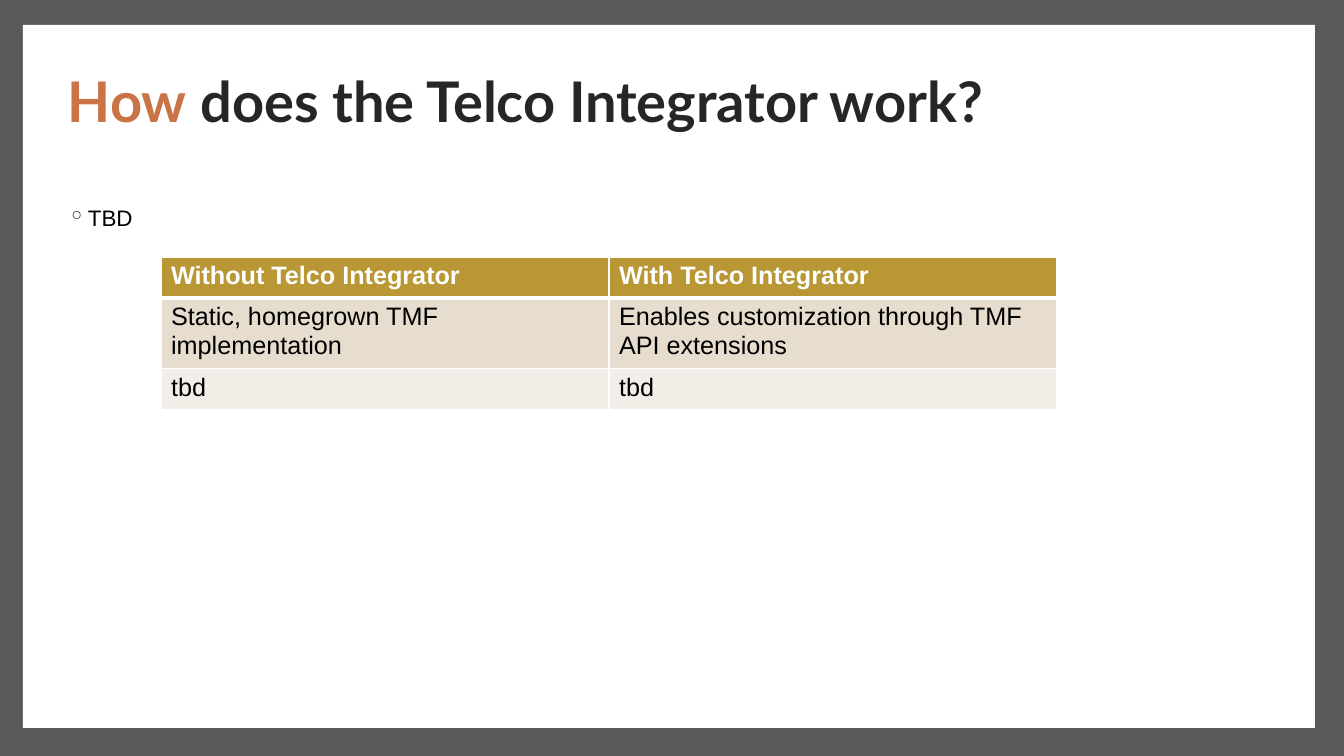
from lxml.etree import SubElement
from pptx import Presentation
from pptx.dml.color import RGBColor
from pptx.enum.shapes import MSO_SHAPE
from pptx.enum.text import MSO_ANCHOR
from pptx.oxml.ns import qn
from pptx.util import Pt

WHITE, BLACK, GREY, INK = "FFFFFF", "000000", "595959", "262626"
ORANGE, GOLD, SAND, CREAM = "CA7346", "B89734", "E6DDCE", "F3EFE8"
ROWS = [
    ("Without Telco Integrator", "With Telco Integrator"),
    ("Static, homegrown TMF implementation",
     "Enables customization through TMF API extensions"),
    ("tbd", "tbd"),
]
ROW_FILLS = [GOLD, SAND, CREAM]
ROW_HEIGHTS = [41, 66, 41]


def px(n):
    """Turn pixels into EMU."""
    return round(n * 914400 / 100.8)


def rgb(color):
    """Turn a hex string into a colour."""
    return RGBColor.from_string(color)


def set_font(font, name, size, color, bold=False):
    """Set the typeface, size, colour and weight of a font."""
    font.name, font.size, font.bold = name, Pt(size), bold
    font.color.rgb = rgb(color)


def add_panel(s, x, y, w, h, color):
    """Add a plain filled rectangle."""
    sp = s.shapes.add_shape(MSO_SHAPE.RECTANGLE, px(x), px(y), px(w), px(h))
    sp.shadow.inherit = False
    sp.fill.solid()
    sp.fill.fore_color.rgb = rgb(color)
    sp.line.fill.background()


def add_text(s, x, y, w, h, spacing, anchor=MSO_ANCHOR.TOP):
    """Add a wrapping text box and return its first paragraph."""
    tf = s.shapes.add_textbox(px(x), px(y), px(w), px(h)).text_frame
    tf.word_wrap = True
    tf.vertical_anchor = anchor
    p = tf.paragraphs[0]
    p.line_spacing = spacing
    return p


def add_title(s, parts):
    """Add the title from pairs of text and colour."""
    p = add_text(s, 58, 49, 1226, 110, 0.9, MSO_ANCHOR.MIDDLE)
    set_font(p.font, "Lato", 40, INK, True)
    for text, color in parts:
        r = p.add_run()
        r.text = text
        r.font.color.rgb = rgb(color)


def add_bullet(s, text):
    """Add a single bulleted line."""
    p = add_text(s, 58, 197, 550, 60, 1.1)
    p.text = text
    p.space_before = Pt(9)
    set_font(p.font, "Arial", 16, BLACK)
    pPr = p._p.get_or_add_pPr()
    pPr.set("marL", str(px(20)))
    pPr.set("indent", str(-px(20)))
    bullet_color = pPr.makeelement(qn("a:buClr"), {})
    SubElement(bullet_color, qn("a:srgbClr"), val=INK)
    bullet = pPr.makeelement(qn("a:buChar"), {"char": "◦"})
    pPr.find(qn("a:defRPr")).addprevious(bullet_color)
    bullet_color.addnext(bullet)


def set_borders(cell, widths):
    """Draw white cell borders with widths in points by side."""
    tcPr = cell._tc.get_or_add_tcPr()
    for i, (side, width) in enumerate(widths.items()):
        ln = tcPr.makeelement(qn(f"a:ln{side}"), {"w": str(Pt(width))})
        fill = SubElement(ln, qn("a:solidFill"))
        SubElement(fill, qn("a:srgbClr"), val=WHITE)
        tcPr.insert(i, ln)


def add_comparison(s):
    """Add the comparison table."""
    table = s.shapes.add_table(len(ROWS), 2, px(161), px(257), px(896),
                               px(sum(ROW_HEIGHTS))).table
    for i, texts in enumerate(ROWS):
        header = i == 0
        table.rows[i].height = px(ROW_HEIGHTS[i])
        for j, text in enumerate(texts):
            cell = table.cell(i, j)
            cell.text = text
            cell.fill.solid()
            cell.fill.fore_color.rgb = rgb(ROW_FILLS[i])
            set_font(cell.text_frame.paragraphs[0].font, "Arial", 18,
                     WHITE if header else BLACK, header)
            set_borders(cell, {"L": 1, "R": 1, "T": 3 if i == 1 else 1,
                               "B": 3 if header else 1})


def main():
    """Build the slide and save it."""
    prs = Presentation()
    prs.slide_width, prs.slide_height = px(1344), px(756)
    s = prs.slides.add_slide(prs.slide_layouts[6])
    add_panel(s, 0, 0, 1344, 756, GREY)
    add_panel(s, 23, 25, 1292, 703, WHITE)
    add_title(s, [("How", ORANGE), (" does the Telco Integrator work?", INK)])
    add_bullet(s, "TBD")
    add_comparison(s)
    prs.save("out.pptx")


if __name__ == "__main__":
    main()
